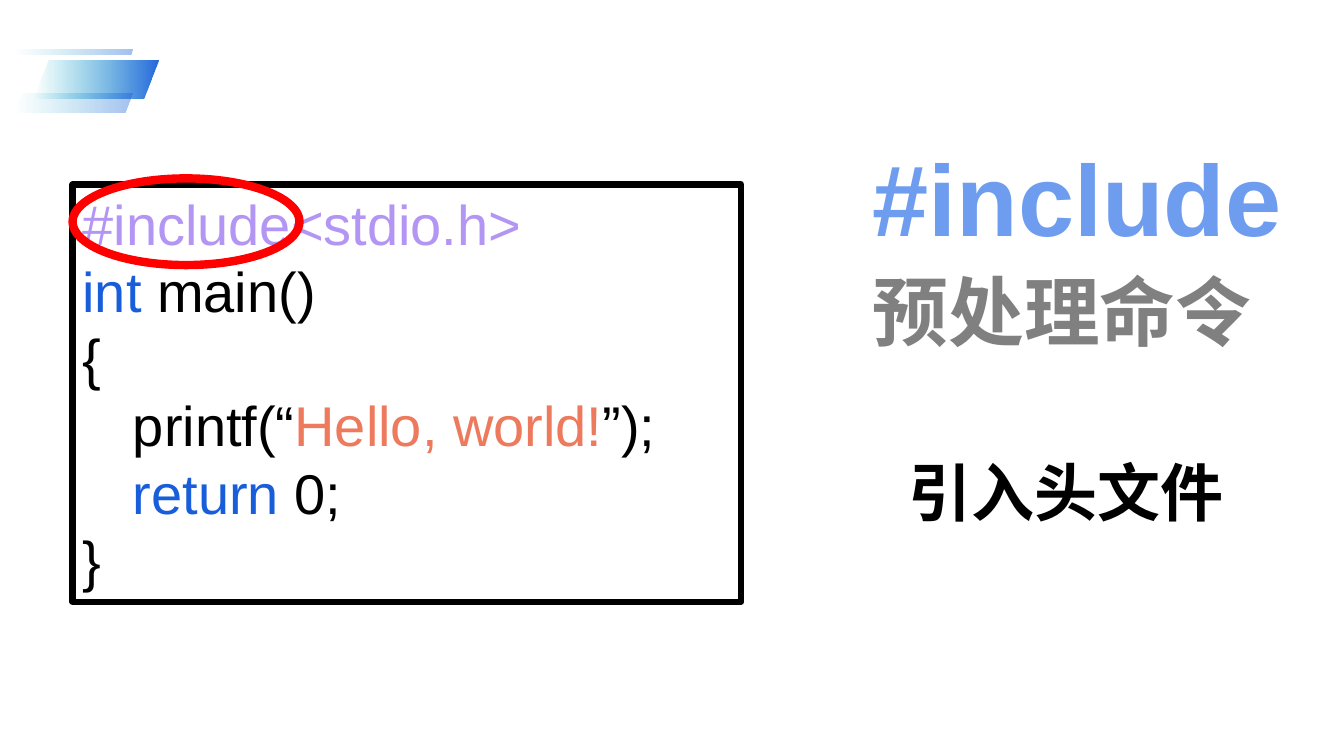
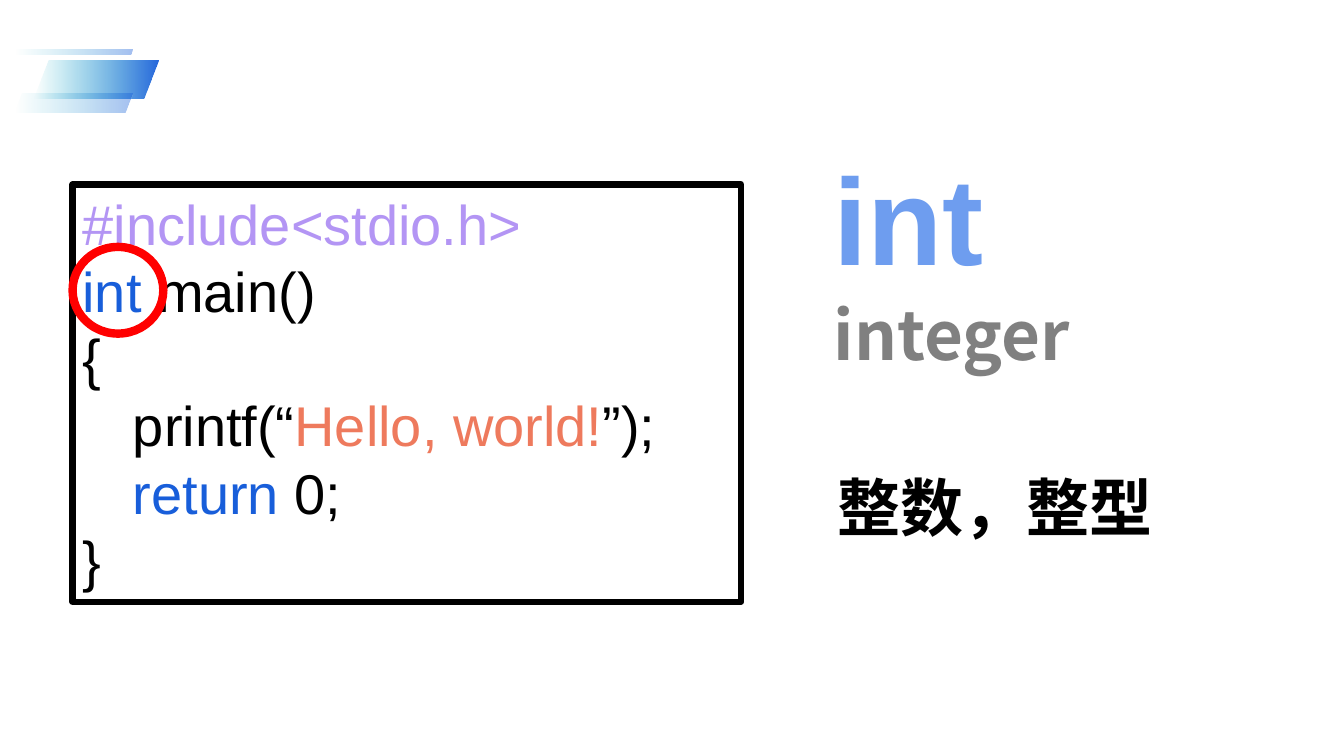
from typing import NamedTuple

from lxml import etree
from pptx import Presentation
from pptx.dml.color import RGBColor
from pptx.enum.shapes import MSO_SHAPE
from pptx.enum.text import MSO_ANCHOR, PP_ALIGN
from pptx.oxml.ns import qn
from pptx.slide import Slide
from pptx.text.text import TextFrame
from pptx.util import Inches, Pt

BAND = MSO_SHAPE.PARALLELOGRAM
RECT = MSO_SHAPE.RECTANGLE
OVAL = MSO_SHAPE.OVAL
TOP = MSO_ANCHOR.TOP
LEFT = PP_ALIGN.LEFT

BLACK = RGBColor(0x00, 0x00, 0x00)
BLUE = RGBColor(0x18, 0x5E, 0xDA)
TEAL = RGBColor(0x07, 0xB2, 0xC4)
LILAC = RGBColor(0xB3, 0x95, 0xF4)
CORAL = RGBColor(0xEE, 0x7A, 0x5D)
SKY = RGBColor(0x6E, 0x9D, 0xEF)
GRAY = RGBColor(0x80, 0x80, 0x80)
RED = RGBColor(0xFF, 0x00, 0x00)
LATIN = "Arial"
HAN = "Noto Sans CJK SC"


class Box(NamedTuple):
    x: float
    y: float
    w: float
    h: float

    def place(self) -> tuple:
        return tuple(Inches(side) for side in self)


class Band(NamedTuple):
    box: Box
    alpha: int


class Run(NamedTuple):
    text: str
    color: RGBColor = BLACK


class Line(NamedTuple):
    runs: list[Run]
    size: float
    font: str
    lead: float
    bold: bool = True


class Note(NamedTuple):
    box: Box
    lines: list[Line]


class Topic(NamedTuple):
    ring: Box
    notes: list[Note]


BANDS = [
    Band(Box(0.33, 0.6, 1.24, 0.38), 94),
    Band(Box(0.14, 0.93, 1.17, 0.19), 40),
    Band(Box(0.14, 0.49, 1.17, 0.05), 40),
]

PANEL = Box(0.72, 1.83, 6.63, 4.14)
CODE = [
    Line(runs, 40, LATIN, 1.2, False)
    for runs in (
        [Run("#include<stdio.h>", LILAC)],
        [Run("int", BLUE), Run(" main()")],
        [Run("{")],
        [Run("\tprintf(“"), Run("Hello, world!", CORAL), Run("”);")],
        [Run("\t"), Run("return", BLUE), Run(" 0;")],
        [Run("}")],
    )
]

TOPICS = [
    Topic(Box(0.72, 1.77, 2.25, 0.86), [
        Note(Box(8.56, 1.3, 4.27, 2.22), [
            Line([Run("#include", SKY)], 72, LATIN, 1.2),
            Line([Run("预处理命令", GRAY)], 54, HAN, 1.3),
        ]),
        Note(Box(8.91, 4.39, 3.91, 0.86), [
            Line([Run("引入头文件")], 45, HAN, 1.3),
        ]),
    ]),
    Topic(Box(0.72, 2.45, 0.9, 0.86), [
        Note(Box(8.17, 1.34, 4.27, 2.39), [
            Line([Run("int", SKY)], 88, LATIN, 1.22),
            Line([Run("integer", GRAY)], 48, HAN, 1.24),
        ]),
        Note(Box(8.21, 4.54, 4.21, 0.86), [
            Line([Run("整数，整型")], 45, HAN, 1.3),
        ]),
    ]),
]


def write(frame: TextFrame, lines: list[Line]) -> None:
    frame.word_wrap = True
    frame.vertical_anchor = TOP
    for pos, line in enumerate(lines):
        para = frame.add_paragraph() if pos else frame.paragraphs[0]
        para.alignment = LEFT
        para.line_spacing = Pt(line.size * line.lead)
        for part in line.runs:
            run = para.add_run()
            run.text = part.text
            font = run.font
            font.name = line.font
            font.size = Pt(line.size)
            font.bold = line.bold
            font.color.rgb = part.color
            east = etree.SubElement(font._element, qn("a:ea"))
            east.set("typeface", HAN)


def add_band(slide: Slide, band: Band) -> None:
    shape = slide.shapes.add_shape(BAND, *band.box.place())
    shape.shadow.inherit = False
    shape.adjustments[0] = 0.395
    shape.line.fill.background()
    shape.fill.gradient()
    shape.fill.gradient_angle = 0
    for stop, color, alpha, pos in zip(
        shape.fill.gradient_stops, (TEAL, BLUE), (0, band.alpha), (0, 1)
    ):
        stop.color.rgb = color
        stop.position = pos
        tint = stop._element.find(qn("a:srgbClr"))
        etree.SubElement(tint, qn("a:alpha")).set("val", str(alpha * 1000))


def add_frame(
    slide: Slide, kind: MSO_SHAPE, box: Box, color: RGBColor, width: float
) -> TextFrame:
    shape = slide.shapes.add_shape(kind, *box.place())
    shape.shadow.inherit = False
    shape.fill.background()
    shape.line.color.rgb = color
    shape.line.width = Pt(width)
    return shape.text_frame


def add_topic(slide: Slide, topic: Topic) -> None:
    for band in BANDS:
        add_band(slide, band)
    write(add_frame(slide, RECT, PANEL, BLACK, 4.5), CODE)
    add_frame(slide, OVAL, topic.ring, RED, 6)
    for note in topic.notes:
        text = slide.shapes.add_textbox(*note.box.place())
        write(text.text_frame, note.lines)


def main() -> None:
    deck = Presentation()
    deck.slide_width = Inches(13.33)
    deck.slide_height = Inches(7.5)
    blank = deck.slide_layouts[6]
    for topic in TOPICS:
        add_topic(deck.slides.add_slide(blank), topic)
    deck.save("out.pptx")


if __name__ == "__main__":
    main()
